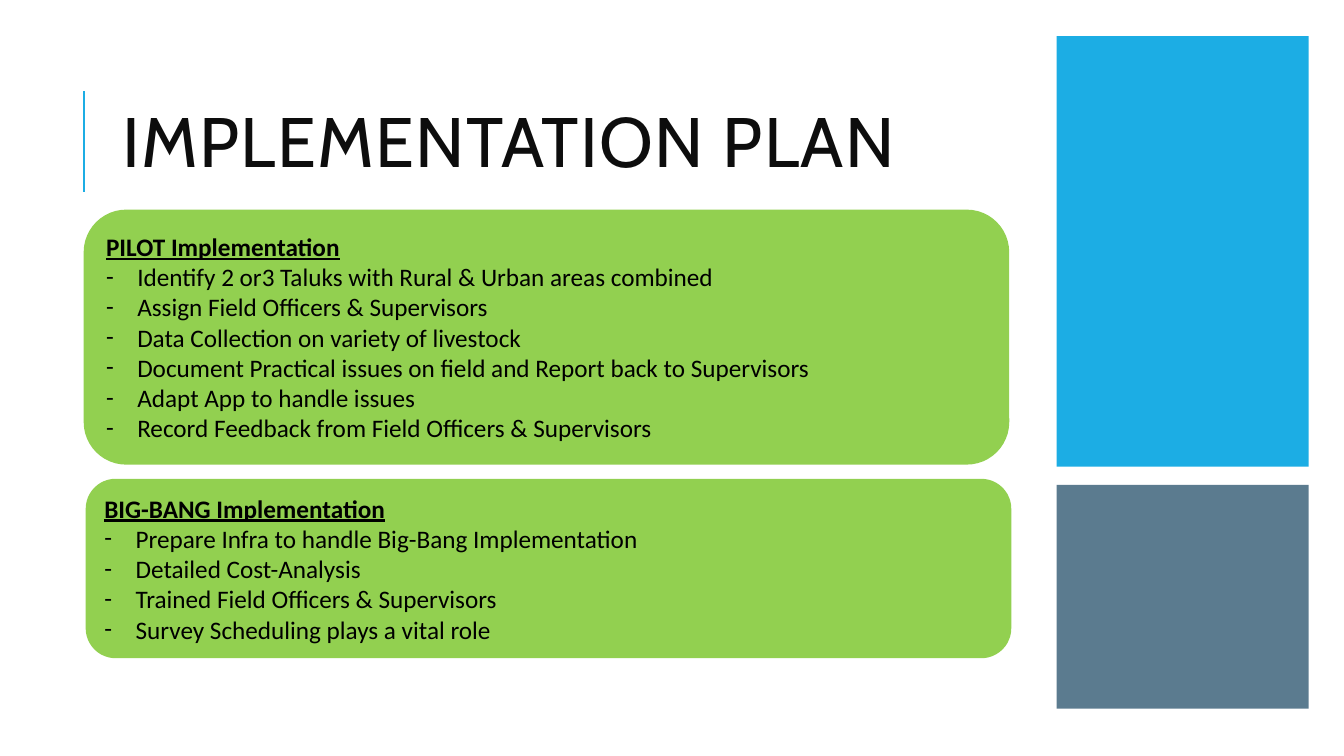
from lxml.etree import SubElement
from pptx import Presentation
from pptx.dml.color import RGBColor
from pptx.enum.shapes import MSO_CONNECTOR as Connector, MSO_SHAPE as Shape
from pptx.enum.text import MSO_ANCHOR as Anchor, PP_ALIGN as Align
from pptx.oxml.ns import qn
from pptx.util import Pt

EMU_PER_PX = 9144
BLUE = "1CADE4"
SLATE = "335B74"
GREEN = "92D050"
BLACK = "000000"
NEAR_BLACK = "0D0D0D"

PILOT_STEPS = [
    "Identify 2 or3 Taluks with Rural & Urban areas combined",
    "Assign Field Officers & Supervisors",
    "Data Collection on variety of livestock",
    "Document Practical issues on field and Report back to Supervisors",
    "Adapt App to handle issues",
    "Record Feedback from Field Officers & Supervisors",
]
BIG_BANG_STEPS = [
    "Prepare Infra to handle Big-Bang Implementation",
    "Detailed Cost-Analysis",
    "Trained Field Officers & Supervisors",
    "Survey Scheduling plays a vital role",
]


def px(*lengths):
    return [length * EMU_PER_PX for length in lengths]


def color(value):
    return RGBColor.from_string(value)


class PlanSlide:
    body_format = {"name": "Calibri", "size": Pt(18), "bold": False, "underline": False}
    heading_format = {**body_format, "bold": True, "underline": True}
    title_format = {"name": "Cabin", "size": Pt(50)}
    indent = 31

    def __init__(self, presentation):
        self.slide = presentation.slides.add_slide(presentation.slide_layouts[6])

    def style(self, font, values, hex_color):
        for name, value in values.items():
            setattr(font, name, value)
        font.color.rgb = color(hex_color)

    def rule(self, x, top, bottom):
        line = self.slide.shapes.add_connector(Connector.STRAIGHT, *px(x, bottom, x, top))
        line.line.color.rgb = color(BLUE)
        line.line.width = Pt(1.5)
        SubElement(line._element.spPr, qn("a:effectLst"))

    def title(self, text, *box):
        frame = self.slide.shapes.add_textbox(*px(*box)).text_frame
        frame.word_wrap = True
        frame.vertical_anchor = Anchor.MIDDLE
        paragraph = frame.paragraphs[0]
        paragraph.line_spacing = 0.8
        run = paragraph.add_run()
        run.text = text
        self.style(run.font, self.title_format, NEAR_BLACK)
        run._r.get_or_add_rPr().set("spc", "100")

    def block(self, kind, fill, *box, opacity=100):
        shape = self.slide.shapes.add_shape(kind, *px(*box))
        shape.shadow.inherit = False
        shape.fill.solid()
        shape.fill.fore_color.rgb = color(fill)
        shape.line.fill.background()
        if opacity < 100:
            fill_color = shape._element.spPr.find(qn("a:solidFill"))[0]
            SubElement(fill_color, qn("a:alpha"), val=str(opacity * 1000))
        return shape

    def card(self, heading, steps, *box):
        frame = self.block(Shape.ROUNDED_RECTANGLE, GREEN, *box).text_frame
        frame.word_wrap = True
        frame.vertical_anchor = Anchor.MIDDLE
        self.add_text(frame.paragraphs[0], heading, self.heading_format)
        for step in steps:
            paragraph = frame.add_paragraph()
            self.dash(paragraph)
            self.add_text(paragraph, step, self.body_format)

    def dash(self, paragraph):
        properties = paragraph._p.get_or_add_pPr()
        margin, = px(self.indent)
        properties.set("marL", str(margin))
        properties.set("indent", str(-margin))
        SubElement(properties, qn("a:buFont"), typeface="Calibri")
        SubElement(properties, qn("a:buChar"), char="-")

    def add_text(self, paragraph, text, values):
        paragraph.alignment = Align.LEFT
        run = paragraph.add_run()
        run.text = text
        self.style(run.font, values, BLACK)


def main():
    presentation = Presentation()
    presentation.slide_width, presentation.slide_height = px(1333, 750)
    plan = PlanSlide(presentation)
    plan.rule(83, 90, 190)
    plan.title("IMPLEMENTATION PLAN", 112, 64, 877, 164)
    plan.block(Shape.RECTANGLE, BLUE, 1048, 36, 250, 427)
    plan.block(Shape.RECTANGLE, SLATE, 1048, 481, 250, 222, opacity=80)
    plan.card("PILOT Implementation", PILOT_STEPS, 83, 208, 918, 253)
    plan.card("BIG-BANG Implementation", BIG_BANG_STEPS, 85, 475, 918, 178)
    presentation.save("out.pptx")


if __name__ == "__main__":
    main()
